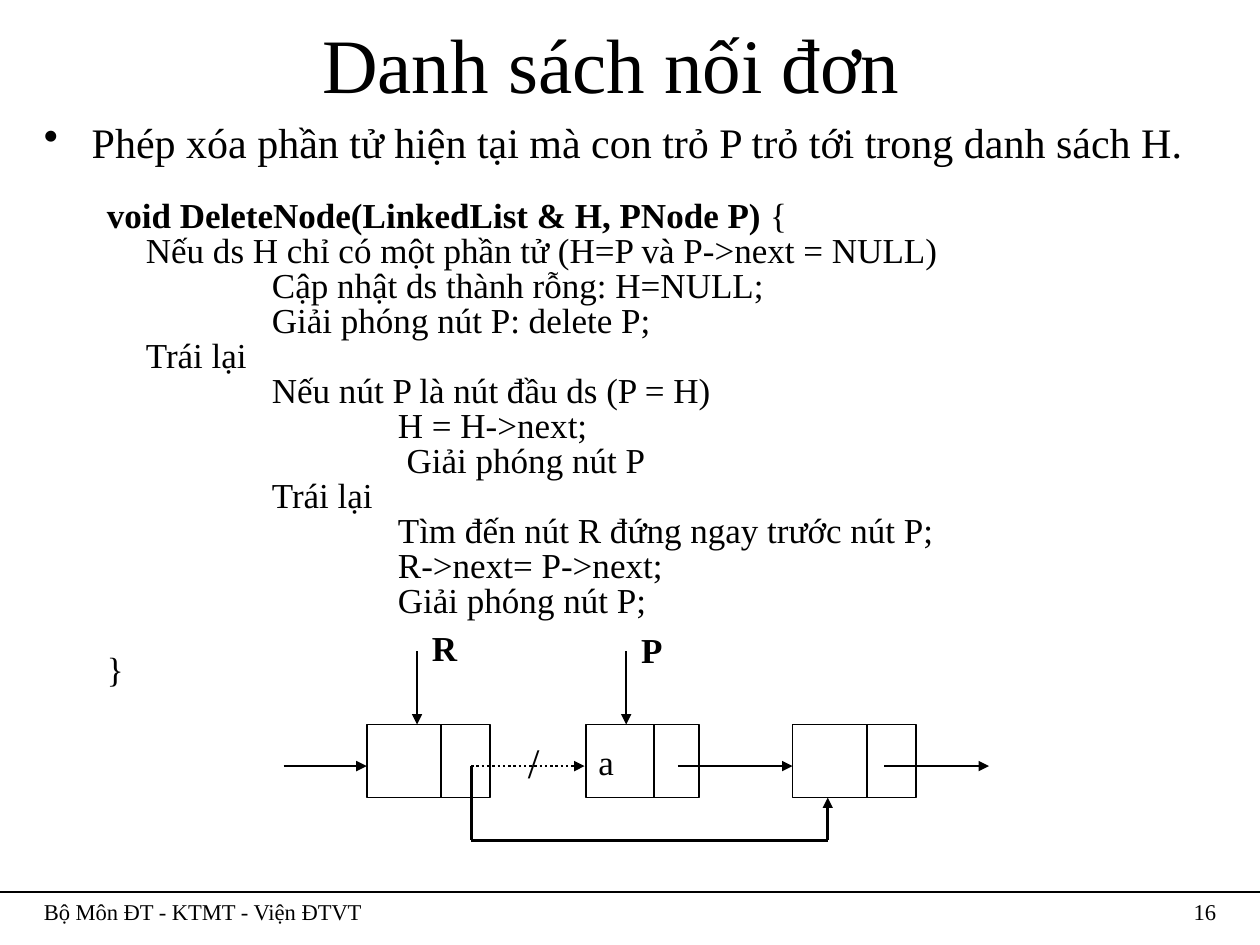
from dataclasses import dataclass

from pptx import Presentation, util as u
from pptx.dml.color import RGBColor
from pptx.enum import dml, shapes, text
from pptx.oxml import xmlchemy as xc
from pptx.oxml.ns import qn
from lxml import etree


@dataclass(frozen=True)
class Theme:
    font: str = "Times New Roman"
    ink: RGBColor = RGBColor(0, 0, 0)
    title: float = 44
    lead: float = 24
    code: float = 20
    foot: float = 12.9
    edge: float = 1
    arrow: float = 1.5


class Deck:
    def __init__(self, theme):
        self.theme = theme
        self.file = Presentation()
        self.file.slide_width, self.file.slide_height = u.Inches(10), u.Inches(7.5)
        self.slide = self.file.slides.add_slide(self.file.slide_layouts[5])

    def style(self, par, size, bold=False):
        for run in par.runs:
            font = run.font
            font.name, font.size, font.bold = self.theme.font, u.Pt(size), bold
            font.color.rgb = self.theme.ink

    def place(self, item, x, y, w, h):
        item.left, item.top, item.width, item.height = map(u.Inches, (x, y, w, h))

    def title(self, words, *box):
        item = self.slide.shapes.title
        self.place(item, *box)
        frame = item.text_frame
        frame.text = words
        frame.vertical_anchor = text.MSO_ANCHOR.MIDDLE
        frame.margin_right = u.Inches(0.4)
        frame.paragraphs[0].alignment = text.PP_ALIGN.CENTER
        self.style(frame.paragraphs[0], self.theme.title)

    def label(self, words, x, y, w, h, size, bold=False, wrap=False,
              align=text.PP_ALIGN.LEFT, anchor=text.MSO_ANCHOR.TOP):
        box = self.slide.shapes.add_textbox(*map(u.Inches, (x, y, w, h)))
        frame = box.text_frame
        frame.word_wrap, frame.vertical_anchor = wrap, anchor
        frame.text = words
        frame.paragraphs[0].alignment = align
        self.style(frame.paragraphs[0], size, bold)
        return frame

    def indent(self, par, left, first, bullet=None):
        props = par._p.get_or_add_pPr()
        props.set("marL", str(u.Inches(left)))
        props.set("indent", str(u.Inches(first)))
        if bullet:
            etree.SubElement(props, qn("a:buChar")).set("char", bullet)

    def code(self, frame, lines):
        """Add (depth, text, space before) lines below the lead line."""
        for depth, words, gap in lines:
            par = frame.add_paragraph()
            par.text = words
            self.indent(par, 0.5 if depth == 0 else depth - 0.19, 0)
            par.line_spacing, par.space_before = 0.8, u.Pt(gap)
            self.style(par, self.theme.code)

    def line(self, start, end, width=None, head=False, dotted=False):
        item = self.slide.shapes.add_connector(
            shapes.MSO_CONNECTOR.STRAIGHT, *map(u.Inches, (*start, *end)))
        item.line.color.rgb = self.theme.ink
        item.line.width = u.Pt(width or self.theme.arrow)
        if dotted:
            item.line.dash_style = dml.MSO_LINE.ROUND_DOT
        if head:
            etree.SubElement(item.line._get_or_add_ln(), qn("a:tailEnd")).set("type", "triangle")
        etree.SubElement(item._element.spPr, qn("a:effectLst"))

    def cell(self, x, y, w, h, words=""):
        item = self.slide.shapes.add_shape(
            shapes.MSO_SHAPE.RECTANGLE, *map(u.Inches, (x, y, w, h)))
        item.shadow.inherit = False
        item.fill.background()
        item.line.color.rgb = self.theme.ink
        item.line.width = u.Pt(self.theme.edge)
        if words:
            frame = item.text_frame
            frame.word_wrap = False
            frame.text = words
            self.style(frame.paragraphs[0], self.theme.code)


def main():
    look = Theme()
    deck = Deck(look)

    # Title, lead line and pseudocode
    deck.title("Danh sách nối đơn", 0.25, 0.08, 9.5, 0.83)
    body = deck.label("Phép xóa phần tử hiện tại mà con trỏ P trỏ tới trong danh sách H.",
                      0.25, 0.92, 9.5, 4.58, look.lead, wrap=True)
    body.margin_top = u.Inches(0.08)
    lead = body.paragraphs[0]
    deck.indent(lead, 0.38, -0.38, "•")
    lead.line_spacing = 0.8
    near, far = 0.8, 20
    deck.code(body, [
        (0, "void DeleteNode(LinkedList & H, PNode P)", far),
        (1, "Nếu ds H chỉ có một phần tử (H=P và P->next = NULL)", near),
        (2, "Cập nhật ds thành rỗng: H=NULL;", near),
        (2, "Giải phóng nút P: delete P;", near),
        (1, "Trái lại", near),
        (2, "Nếu nút P là nút đầu ds (P = H)", near),
        (3, "H = H->next;", near),
        (3, " Giải phóng nút P", near),
        (2, "Trái lại", near),
        (3, "Tìm đến nút R đứng ngay trước nút P;", near),
        (3, "R->next= P->next;", near),
        (3, "Giải phóng nút P;", near),
        (0, "}", far),
    ])
    head = body.paragraphs[1]
    head.add_run().text = " {"
    deck.style(head, look.code)
    head.runs[0].font.bold = True

    # List nodes: data cell and link cell
    top, high, mid, low = 5.75, 0.58, 6.08, 6.67
    for x, data, link, words in [(2.91, 0.59, 0.39, ""), (4.65, 0.54, 0.36, "a"),
                                 (6.29, 0.59, 0.39, "")]:
        deck.cell(x, top, data, high, words)
        deck.cell(x + data, top, link, high)

    # Links along the list, the cut one dotted
    for x, end, cut in [(2.25, 2.91, False), (3.74, 4.64, True),
                        (5.38, 6.29, False), (7.02, 7.85, False)]:
        deck.line((x, mid), (end, mid), head=True, dotted=cut)
    deck.label("/", 4.07, 5.83, 0.33, 0.43, look.lead,
               align=text.PP_ALIGN.CENTER, anchor=text.MSO_ANCHOR.MIDDLE)

    # Bypass from R to the node after P
    deck.line((3.74, mid), (3.74, low))
    deck.line((3.74, low), (6.57, low))
    deck.line((6.57, low), (6.57, top + high), head=True)

    # Pointers
    for name, x, y, wide in [("R", 3.31, 4.92, 0.4), ("P", 4.97, 4.94, 0.37)]:
        deck.line((x, 5.17), (x, top), head=True)
        deck.label(name, x + 0.02, y, wide, 0.44, look.code, bold=True)

    # Footer
    base = 7.08
    deck.line((0, base), (10, base), width=0.75)
    deck.label("Bộ Môn ĐT - KTMT - Viện ĐTVT", 0.25, base, 8.5, 0.33, look.foot, wrap=True)
    deck.label("16", 8.92, base, 0.83, 0.33, look.foot, wrap=True, align=text.PP_ALIGN.RIGHT)

    deck.file.save("out.pptx")


if __name__ == "__main__":
    main()
